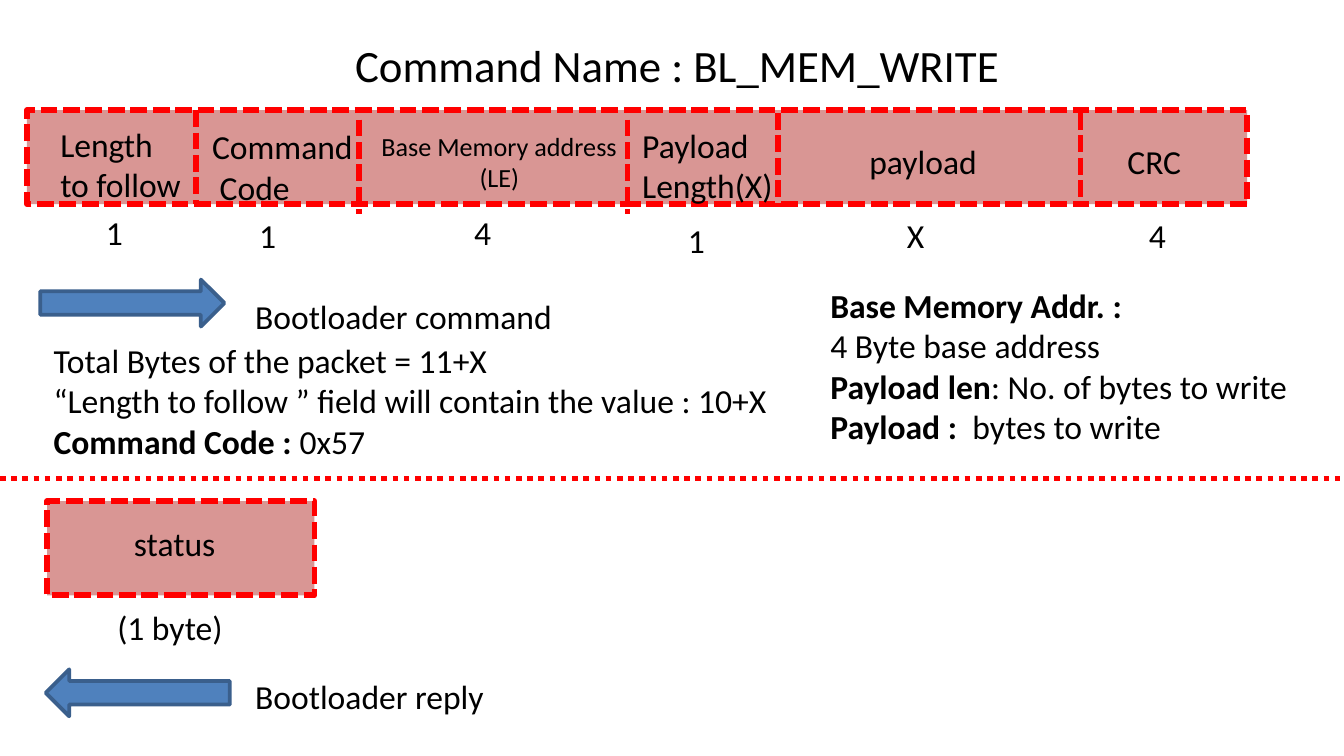
from lxml import etree
from pptx import Presentation
from pptx import util as u
from pptx.dml.color import RGBColor
from pptx.enum import dml, shapes, text
from pptx.oxml.ns import qn

WIDE = 10
HIGH = WIDE * 9 / 16
FONT, SIZE = "Calibri", 18
HUES = {"ink": "000000", "edge": "FF0000", "box": "D99694",
        "arrow": "4F81BD", "rim": "3A5F8C"}
DASH = dml.MSO_LINE.SQUARE_DOT      # sysDash
DOT = dml.MSO_LINE.ROUND_DOT        # sysDot

# Each line is a string or a list of (words, bold) runs.
TITLE = "Command Name : BL_MEM_WRITE "
# Packet fields: lines, size, label (left, top, width), byte count, its (left, top)
FIELDS = [
    (["Length", "to follow"], 18, (0.35, 0.87, 1.11), "1", (0.69, 1.53)),
    (["Command", " Code"], 18, (1.48, 0.89, 1.26), "1", (1.83, 1.55)),
    (["Base Memory address", "(LE)"], 14, (2.74, 0.92, 1.97), "4", (3.43, 1.53)),
    (["Payload", "Length(X)"], 18, (4.68, 0.88, 1.19), "1", (5.02, 1.59)),
    (["payload"], 18, (6.37, 1, 1.01), "X", (6.65, 1.55)),
    (["CRC"], 18, (8.29, 1, 0.61), "4", (8.45, 1.55)),
]
SPLITS = [(1.46, 0.82), (2.67, 0.89), (4.67, 0.89), (5.79, 0.84), (8.04, 0.84)]
ROW = 0.7
BOXES = [(0.2, 0.82, 9.08), (0.35, 3.73, 1.99)]
REPLY = [("status", 0.85, 3.84, 0.9), ("(1 byte)", 0.71, 4.47, 1.11)]
ARROWS = [  # left, top, turn, caption, caption top, caption width
    (0.3, 2.08, 0, "Bootloader command", 2.15, 2.44),
    (0.34, 4.98, 180, "Bootloader reply", 4.98, 1.92),
]
NOTES = [
    ((0.3, 2.48, 5.58, 1.31), [
        "Total Bytes of the packet = 11+X",
        "“Length to follow ” field will contain the value : 10+X",
        [("Command Code : ", True), ("0x57", False)]]),
    ((6.08, 2.07, 3.67, 1.31), [
        [("Base Memory Addr. :", True)],
        "4 Byte base address",
        [("Payload len", True), (": No. of bytes to write", False)],
        [("Payload :  ", True), ("bytes to write", False)]]),
]

deck = Presentation()
deck.slide_width, deck.slide_height = u.Inches(WIDE), u.Inches(HIGH)
slide = deck.slides.add_slide(deck.slide_layouts[5])


def hue(name):
    return RGBColor.from_string(HUES[name])


def inch(*sides):
    return [u.Inches(side) for side in sides]


def style(run, size, bold=False):
    run.font.name, run.font.size, run.font.bold = FONT, u.Pt(size), bold
    run.font.color.rgb = hue("ink")


def stroke(line, name, width, dash=None):
    line.color.rgb, line.width = hue(name), u.Pt(width)
    if dash:
        line.dash_style = dash


def write(spot, lines, size=SIZE, align=text.PP_ALIGN.LEFT):
    """Add a text box of plain strings or lists of (words, bold) runs."""
    frame = slide.shapes.add_textbox(*inch(*spot)).text_frame
    frame.word_wrap = False
    frame.auto_size = text.MSO_AUTO_SIZE.SHAPE_TO_FIT_TEXT
    for i, line in enumerate(lines):
        para = frame.add_paragraph() if i else frame.paragraphs[0]
        para.alignment = align
        for words, bold in [(line, False)] if isinstance(line, str) else line:
            run = para.add_run()
            run.text = words
            style(run, size, bold)
    return frame


def block(kind, spot, fill, edge, width, dash=None):
    form = slide.shapes.add_shape(kind, *inch(*spot))
    form.shadow.inherit = False
    form.fill.solid()
    form.fill.fore_color.rgb = hue(fill)
    stroke(form.line, edge, width, dash)
    return form


def rule(start, end, dash):
    line = slide.shapes.add_connector(
        shapes.MSO_CONNECTOR.STRAIGHT, *inch(*start, *end))
    stroke(line.line, "edge", 3, dash)
    etree.SubElement(line._element.spPr, qn("a:effectLst"))


# Title
head = slide.shapes.title
head.left, head.top, head.width, head.height = inch(2.52, 0.23, 5.11, 0.5)
frame = head.text_frame
frame.text = TITLE
frame.word_wrap = False
frame.auto_size = text.MSO_AUTO_SIZE.NONE
frame.vertical_anchor = text.MSO_ANCHOR.TOP
frame.paragraphs[0].alignment = text.PP_ALIGN.CENTER
style(frame.paragraphs[0].runs[0], 24)

# Packet and reply
for left, top, width in BOXES:
    block(shapes.MSO_SHAPE.RECTANGLE, (left, top, width, ROW),
          "box", "edge", 3, DASH)
for x, y in SPLITS:
    rule((x, y), (x, y + ROW), DASH)
for lines, size, (left, top, width), count, spot in FIELDS:
    tall = 0.6 if len(lines) > 1 else 0.34
    label = write((left, top, width, tall), lines, size)
    if lines[-1] == "(LE)":
        label.paragraphs[-1].alignment = text.PP_ALIGN.CENTER
    write((*spot, 0.33, 0.34), [count])
for words, left, top, width in REPLY:
    write((left, top, width, 0.34), [words], align=text.PP_ALIGN.CENTER)

# Directions, notes and the line between command and reply
for left, top, turn, words, below, width in ARROWS:
    arrow = block(shapes.MSO_SHAPE.RIGHT_ARROW, (left, top, 1.37, 0.35),
                  "arrow", "rim", 2)
    arrow.rotation = turn
    write((1.8, below, width, 0.4), [words])
for spot, lines in NOTES:
    write(spot, lines).word_wrap = spot[0] > WIDE / 2
rule((0, 3.56), (WIDE, 3.56), DOT)

deck.save("out.pptx")
